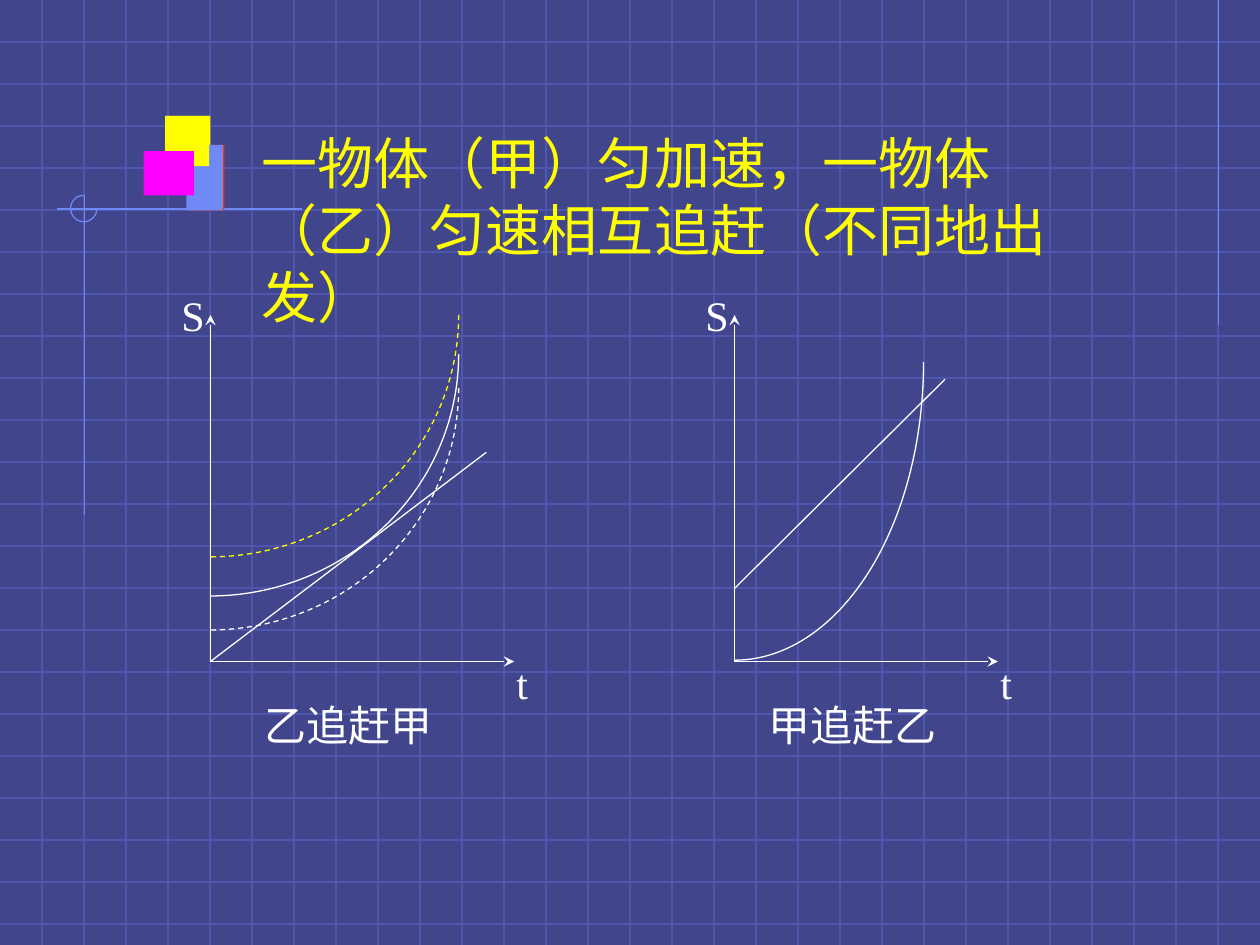
from pptx import Presentation
from pptx.dml.color import RGBColor
from pptx.enum.dml import MSO_LINE_DASH_STYLE as Dash
from pptx.enum.shapes import MSO_CONNECTOR, MSO_SHAPE
from pptx.enum.text import MSO_AUTO_SIZE
from pptx.oxml.ns import qn
from pptx.util import Inches, Pt
from lxml.etree import SubElement

WIDTH, HEIGHT = 10, 7.5
GRID_STEP = 1 / 3
FONT = "Times New Roman"
NAVY = RGBColor(0x40, 0x45, 0x8C)
GRID_BLUE = RGBColor(0x4F, 0x56, 0xAD)
LIGHT_BLUE = RGBColor(0x6F, 0x89, 0xF7)
WHITE = RGBColor(0xFF, 0xFF, 0xFF)
YELLOW = RGBColor(0xFF, 0xFF, 0x00)
RED = RGBColor(0xFF, 0x33, 0x00)
MAGENTA = RGBColor(0xFF, 0x00, 0xFF)


def add_line(slide, start, end, color=WHITE, arrow=False):
    line = slide.shapes.add_connector(
        MSO_CONNECTOR.STRAIGHT, *map(Inches, (*start, *end)))
    line.line.color.rgb = color
    line.line.width = Pt(0.75)
    properties = line._element.spPr
    if arrow:
        SubElement(properties.find(qn("a:ln")), qn("a:tailEnd"), type="stealth")
    SubElement(properties, qn("a:effectLst"))


def add_arc(slide, box, color=WHITE, end_angle=90, dash=None):
    """Draw the ellipse in box from 0 degrees clockwise to end_angle."""
    arc = slide.shapes.add_shape(MSO_SHAPE.ARC, *map(Inches, box))
    arc.shadow.inherit = False
    # Angles are stored in 1/60000 degree, adjustments are scaled by 100000
    arc.adjustments[0] = 0
    arc.adjustments[1] = end_angle * 0.6
    arc.fill.background()
    arc.line.color.rgb = color
    arc.line.width = Pt(0.75)
    if dash:
        arc.line.dash_style = dash


def add_block(slide, box, color):
    block = slide.shapes.add_shape(MSO_SHAPE.RECTANGLE, *map(Inches, box))
    block.shadow.inherit = False
    block.fill.solid()
    block.fill.fore_color.rgb = color
    block.line.fill.background()


def add_text(slide, box, text, size=24, color=WHITE, wrap=False):
    frame = slide.shapes.add_textbox(*map(Inches, box)).text_frame
    frame.word_wrap = wrap
    frame.auto_size = MSO_AUTO_SIZE.SHAPE_TO_FIT_TEXT
    frame.text = text
    font = frame.paragraphs[0].runs[0].font
    font.name = FONT
    font.size = Pt(size)
    font.color.rgb = color


def add_backdrop(slide):
    slide.background.fill.solid()
    slide.background.fill.fore_color.rgb = NAVY
    for row in range(1, 23):
        y = row * GRID_STEP
        add_line(slide, (0, y), (WIDTH, y), GRID_BLUE)
    for column in range(1, 30):
        x = column * GRID_STEP
        add_line(slide, (x, 0), (x, HEIGHT), GRID_BLUE)
    add_line(slide, (9.67, 0), (9.67, 2.58), LIGHT_BLUE)
    add_line(slide, (2.4, 1.66), (0.45, 1.66), LIGHT_BLUE)
    add_line(slide, (0.67, 1.55), (0.67, 4.09), LIGHT_BLUE)
    add_arc(slide, (0.56, 1.55, 0.21, 0.21), LIGHT_BLUE, end_angle=270)


def add_axes(slide, origin_x, length, caption_x, caption):
    """Draw the S and t axes with their labels and the caption below."""
    origin = (origin_x, 5.25)
    add_line(slide, origin, (origin_x, 2.5), arrow=True)
    add_line(slide, origin, (origin_x + length, 5.25), arrow=True)
    add_text(slide, (origin_x - 0.33, 2.25, 0.38, 0.5), "S")
    add_text(slide, (origin_x + length - 0.08, 5.17, 0.29, 0.5), "t")
    add_text(slide, (caption_x, 5.5, 1.53, 0.5), caption)


def add_chase_by_uniform_body(slide):
    add_axes(slide, 1.67, 2.41, 2, "乙追赶甲")
    add_line(slide, (1.67, 5.25), (3.86, 3.59))
    for top, color, dash in ((0.89, WHITE, None),
                             (1.16, WHITE, Dash.DASH),
                             (0.58, YELLOW, Dash.DASH)):
        add_arc(slide, (-0.31, top, 3.95, 3.84), color, dash=dash)


def add_chase_by_accelerating_body(slide):
    add_axes(slide, 5.83, 2.09, 6, "甲追赶乙")
    add_line(slide, (5.83, 4.67), (7.5, 3.01))
    add_arc(slide, (4.33, 0.51, 3, 4.73))


def add_title(slide):
    add_text(slide, (1.98, 0.97, 7.11, 1.7),
             "一物体（甲）匀加速，一物体（乙）匀速相互追赶（不同地出发）",
             size=32, color=YELLOW, wrap=True)


def add_ornament(slide):
    for box, color in (((1.49, 1.15, 0.29, 0.52), RED),
                       ((1.32, 0.92, 0.35, 0.4), YELLOW),
                       ((1.48, 1.15, 0.29, 0.52), LIGHT_BLUE),
                       ((1.31, 0.92, 0.35, 0.4), YELLOW),
                       ((1.14, 1.2, 0.4, 0.35), MAGENTA)):
        add_block(slide, box, color)


def main():
    deck = Presentation()
    deck.slide_width, deck.slide_height = Inches(WIDTH), Inches(HEIGHT)
    slide = deck.slides.add_slide(deck.slide_layouts[6])
    add_backdrop(slide)
    add_title(slide)
    add_chase_by_accelerating_body(slide)
    add_chase_by_uniform_body(slide)
    add_ornament(slide)
    deck.save("out.pptx")


if __name__ == "__main__":
    main()
